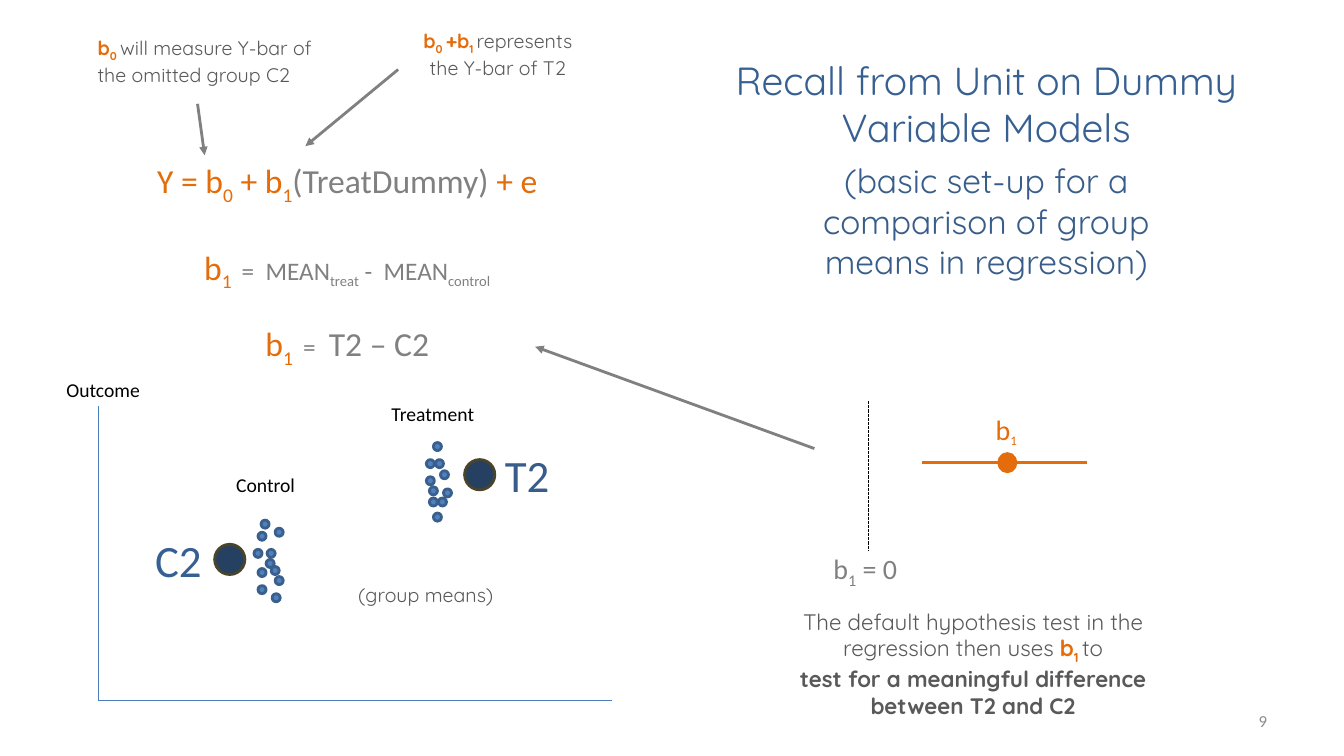
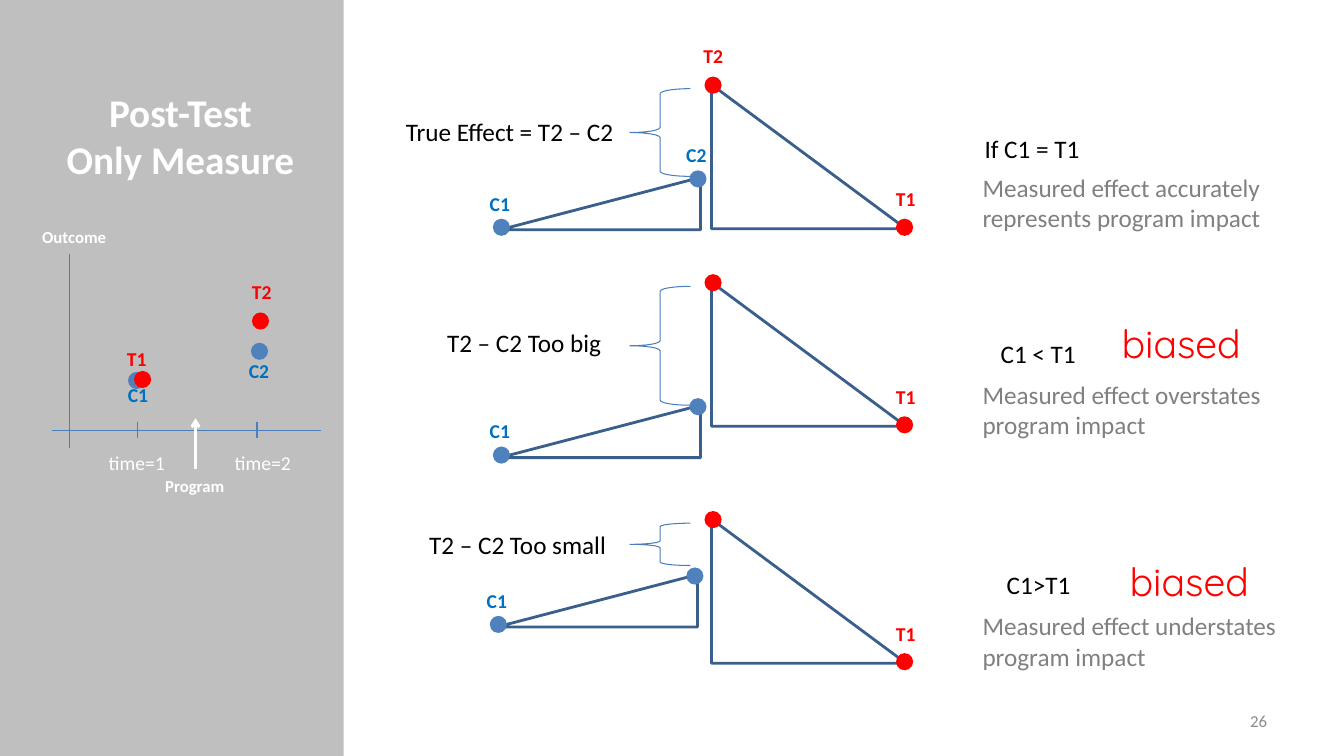
from dataclasses import dataclass
from typing import NamedTuple

from lxml.etree import SubElement
from pptx import Presentation
from pptx.dml.color import RGBColor
from pptx.enum.dml import MSO_LINE
from pptx.enum.shapes import MSO_CONNECTOR, MSO_SHAPE as Preset
from pptx.enum.text import MSO_ANCHOR as Anchor, MSO_AUTO_SIZE as AutoSize, PP_ALIGN as Align
from pptx.oxml.ns import qn
from pptx.util import Cm, Pt

COLORS = {
    "white": "FFFFFF", "black": "000000", "panel": "BFBFBF", "number": "8C8C8C",
    "gray": "808080", "text": "595959", "orange": "E46C0A", "red": "FF0000",
    "title": "376092", "group": "385D8A", "label": "0070C0", "dot": "4F81BD",
    "outline": "3A5F8C", "axis": "4B7EBC", "mean": "254061", "mean edge": "4A452A",
}
BODY, DISPLAY = "Calibri", "Quicksand"
TITLE_ONLY = 5


class Span(NamedTuple):
    text: str
    color: str | None = None
    size: float | None = None
    bold: bool | None = None
    subscript: bool = False


@dataclass
class Label:
    """A text whose paragraphs are lists of spans; a plain string is one paragraph."""
    content: str | list[list[Span]]
    left: float
    top: float
    width: float
    size: float = 14
    color: str = "black"
    font: str = BODY
    bold: bool = False
    align: Align = Align.LEFT
    wrap: bool = False
    lines: int = 1
    gaps: tuple[float, ...] = ()


@dataclass
class Scenario:
    treatment_top: float
    control_left: float
    control_top: float
    brace_height: float
    effect: Label
    condition: Label
    comment: str
    comment_top: float
    biased_at: tuple[float, float] | None = None


def inch(value: float) -> Cm:
    return Cm(value * 2.54)


def rgb(name: str) -> RGBColor:
    return RGBColor.from_string(COLORS[name])


def write(frame, label: Label) -> None:
    frame.word_wrap = label.wrap
    content = [[Span(label.content)]] if isinstance(label.content, str) else label.content
    for index, spans in enumerate(content):
        paragraph = frame.paragraphs[0] if index == 0 else frame.add_paragraph()
        paragraph.alignment = label.align
        if index and label.gaps:
            paragraph.space_before = Pt(label.gaps[index - 1])
        font = paragraph.font
        font.name, font.size, font.bold = label.font, Pt(label.size), label.bold
        font.color.rgb = rgb(label.color)
        for span in spans:
            for number, line in enumerate(span.text.split("\n")):
                if number:
                    paragraph.add_line_break()
                if line:
                    add_run(paragraph, line, span)


def add_run(paragraph, text: str, span: Span) -> None:
    run = paragraph.add_run()
    run.text = text
    if span.color:
        run.font.color.rgb = rgb(span.color)
    if span.size:
        run.font.size = Pt(span.size)
    if span.bold is not None:
        run.font.bold = span.bold
    if span.subscript:
        run._r.get_or_add_rPr().set("baseline", "-25000")


def add_label(slide, label: Label):
    height = 0.1 + label.lines * label.size / 60
    box = slide.shapes.add_textbox(
        inch(label.left), inch(label.top), inch(label.width), inch(height))
    write(box.text_frame, label)
    box.text_frame.auto_size = AutoSize.SHAPE_TO_FIT_TEXT
    return box


def set_title(slide, label: Label) -> None:
    title = slide.shapes.title
    title.left, title.top = inch(label.left), inch(label.top)
    title.width, title.height = inch(label.width), inch(1.04)
    title.text_frame.auto_size = AutoSize.NONE
    title.text_frame.vertical_anchor = Anchor.TOP
    write(title.text_frame, label)


def add_number(slide, number: str) -> None:
    box = add_label(slide, Label(number, 9.56, 7, 3.11, 12, "number", align=Align.RIGHT, wrap=True))
    box.text_frame.vertical_anchor = Anchor.MIDDLE


def add_preset(slide, preset: Preset, left: float, top: float, width: float, height: float,
               fill: str | None = None, line: str | None = None, weight: float = 2,
               mirrored: bool = False):
    shape = slide.shapes.add_shape(preset, inch(left), inch(top), inch(width), inch(height))
    shape.shadow.inherit = False
    if fill:
        shape.fill.solid()
        shape.fill.fore_color.rgb = rgb(fill)
    else:
        shape.fill.background()
    if line:
        shape.line.color.rgb = rgb(line)
        shape.line.width = Pt(weight)
    else:
        shape.line.fill.background()
    if mirrored:
        shape._element.spPr.xfrm.set("flipH", "1")
    return shape


def add_line(slide, start: tuple[float, float], end: tuple[float, float], color: str = "axis",
             weight: float = 0.75, head: str | None = None, dashed: bool = False) -> None:
    connector = slide.shapes.add_connector(
        MSO_CONNECTOR.STRAIGHT, *(inch(value) for value in (*start, *end)))
    connector.line.color.rgb = rgb(color)
    connector.line.width = Pt(weight)
    if dashed:
        connector.line.dash_style = MSO_LINE.SQUARE_DOT
    if head:
        SubElement(connector.line._get_or_add_ln(), qn("a:tailEnd"), type=head)
    SubElement(connector._element.spPr, qn("a:effectLst"))


def add_point(slide, left: float, top: float, color: str) -> None:
    add_preset(slide, Preset.OVAL, left, top, 0.17, 0.17, color)


def add_point_label(slide, text: str, left: float, top: float) -> None:
    color = "red" if text.startswith("T") else "label"
    add_label(slide, Label(text, left, top, 0.41, color=color, bold=True))


def coefficient(index: str, size: float | None = None, bold: bool | None = None,
                sign: str = "") -> list[Span]:
    return [Span(f"{sign}b", "orange", size, bold), Span(index, "orange", size, bold, True)]


def build_dummy_slide(slide) -> None:
    set_title(slide, Label("Recall from Unit on Dummy Variable Models", 7.19, 0.51, 5.19, 28,
                           "title", DISPLAY, align=Align.CENTER, wrap=True))
    add_number(slide, "9")

    add_line(slide, (0.98, 6.95), (6.07, 6.95))
    add_line(slide, (0.98, 6.95), (0.98, 4.03))
    control = [(2.52, 5.45), (2.65, 5.45), (2.64, 5.55), (2.56, 5.64), (2.73, 5.72), (2.56, 5.81),
               (2.7, 5.89), (2.73, 5.24), (2.59, 5.16), (2.56, 5.28), (2.69, 5.62)]
    treatment = [(4.23, 4.73), (4.23, 4.56), (4.37, 4.67), (4.4, 4.85), (4.26, 4.94), (4.35, 4.94),
                 (4.3, 5.09), (4.3, 4.39), (4.32, 4.56), (4.26, 4.83)]
    for left, top in control + treatment:
        add_preset(slide, Preset.OVAL, left, top, 0.08, 0.08, "dot", "outline")
    for left, top in [(2.13, 5.4), (4.61, 4.56)]:
        add_preset(slide, Preset.OVAL, left, top, 0.3, 0.3, "mean", "mean edge")

    add_line(slide, (8.62, 3.98), (8.62, 5.47), "black", dashed=True)
    add_line(slide, (9.15, 4.59), (10.78, 4.59), "orange", 2)
    add_preset(slide, Preset.OVAL, 9.91, 4.5, 0.17, 0.18, "orange", "orange")

    formulas = [
        [Span("Y = b"), Span("0", subscript=True), Span(" + b"), Span("1", subscript=True),
         Span("(TreatDummy) ", "gray"), Span("+ e")],
        [*coefficient("1 "), Span(" = ", "gray", 18), Span(" MEAN", "gray", 18),
         Span("treat", "gray", 18, subscript=True), Span(" - ", "gray", 18),
         Span(" MEAN", "gray", 18), Span("control", "gray", 18, subscript=True)],
        [*coefficient("1 "), Span(" = ", "gray", 18), Span(" T2 – C2", "gray")],
    ]
    intercept = [*coefficient("0 ", bold=True),
                 Span("will measure Y-bar of the omitted group C2")]
    treated_mean = [*coefficient("0 ", bold=True), *coefficient("1 ", bold=True, sign="+"),
                    Span("represents\nthe Y-bar of T2")]
    test = [Span("The default hypothesis test in the regression then uses "),
            *coefficient("1 ", bold=True), Span("to\n"),
            Span("test for a meaningful difference between T2 and C2", bold=True)]
    null_value = [Span("b"), Span("1", subscript=True), Span(" = 0")]
    estimate = [Span("b"), Span("1", size=16, subscript=True)]
    center = Align.CENTER
    for label in [
        Label("Outcome", 0.56, 3.7, 0.94),
        Label("Treatment", 3.78, 3.94, 1.03, align=center),
        Label("Control", 2.24, 4.64, 0.79, align=center),
        Label([null_value], 8.17, 5.42, 0.85, 20, "gray"),
        Label([estimate], 9.78, 4.04, 0.42, 20, "orange"),
        Label("T2", 4.91, 4.39, 0.65, 32, "group"),
        Label("C2", 1.44, 5.24, 0.67, 32, "title"),
        Label(formulas, 1.37, 1.54, 4.15, 24, "orange", align=center, lines=5, gaps=(29, 22)),
        Label([intercept], 0.87, 0.31, 2.49, 14, "text", DISPLAY, wrap=True, lines=2),
        Label([treated_mean], 3.22, 0.24, 3.44, 14, "text", DISPLAY, align=center, wrap=True,
              lines=2),
        Label([test], 7.79, 5.98, 3.73, 16, "text", DISPLAY, align=center, wrap=True, lines=4),
        Label("(group means)", 2.64, 5.73, 3.17, 14, "text", DISPLAY, align=center, wrap=True),
        Label("(basic set-up for a comparison of group means in regression)", 7.92, 1.54, 3.73, 24,
              "group", DISPLAY, align=center, wrap=True, lines=3),
    ]:
        add_label(slide, label)
    for start, end in [((1.96, 1.03), (2.03, 1.54)), ((3.95, 0.69), (3.03, 1.45)),
                       ((8.08, 4.45), (5.31, 3.44))]:
        add_line(slide, start, end, "gray", 2, "triangle")


def add_scenario(slide, scenario: Scenario) -> None:
    top, left, base = scenario.treatment_top, scenario.control_left, scenario.control_top
    add_preset(slide, Preset.RIGHT_TRIANGLE, 7.06, top, 1.93, 1.43, line="outline")
    add_preset(slide, Preset.RIGHT_TRIANGLE, left, base, 1.99, 0.52, line="outline", mirrored=True)
    add_preset(slide, Preset.RIGHT_BRACE, 6.25, top + 0.04, 0.6, scenario.brace_height,
               line="axis", weight=0.75, mirrored=True)
    add_point(slide, 6.99, top - 0.08, "red")
    add_point(slide, 8.89, top + 1.33, "red")
    add_point(slide, left + 1.88, base - 0.07, "dot")
    add_point(slide, left - 0.07, base + 0.41, "dot")
    add_point_label(slide, "T1", 8.79, top + 0.97)
    add_point_label(slide, "C1", left - 0.2, base + 0.09)
    add_label(slide, scenario.effect)
    add_label(slide, scenario.condition)
    add_label(slide, Label(scenario.comment, 9.65, scenario.comment_top, 3.11, 18, "gray",
                           wrap=True, lines=2))
    if scenario.biased_at:
        add_label(slide, Label("biased", *scenario.biased_at, 1.49, 28, "red", DISPLAY))


def add_timeline(slide) -> None:
    add_line(slide, (0.69, 2.52), (0.69, 4.44))
    add_line(slide, (0.52, 4.27), (3.19, 4.27))
    for tick, label_left, text in [(1.36, 0.98, "time=1"), (2.55, 2.23, "time=2")]:
        add_line(slide, (tick, 4.19), (tick, 4.35))
        add_label(slide, Label(text, label_left, 4.42, 0.79, color="white"))
    add_line(slide, (1.94, 4.65), (1.94, 4.15), "white", 2, "arrow")
    add_label(slide, Label("Program", 1.54, 4.67, 0.8, 12, "white", bold=True))
    add_label(slide, Label("Outcome", 0.32, 2.2, 0.84, 12, "white", bold=True))
    for left, top, color in [(1.27, 3.69, "dot"), (2.49, 3.4, "dot"),
                             (1.33, 3.68, "red"), (2.5, 3.1, "red")]:
        add_point(slide, left, top, color)
    for text, left, top in [("T2", 2.4, 2.73), ("T1", 1.16, 3.39),
                            ("C1", 1.17, 3.75), ("C2", 2.37, 3.51)]:
        add_point_label(slide, text, left, top)


def build_post_test_slide(slide) -> None:
    panel = add_preset(slide, Preset.RECTANGLE, 0, 0, 3.41, 7.5, "panel")
    slide.shapes._spTree.insert(2, panel._element)
    set_title(slide, Label("Post-Test\nOnly Measure", 0, 0.83, 3.58, 28, "white", bold=True,
                           align=Align.CENTER, wrap=True))
    add_number(slide, "26")
    add_timeline(slide)
    for scenario in [
        Scenario(0.84, 4.96, 1.76, 0.87,
                 Label("True Effect = T2 – C2", 3.93, 1.11, 2.3, 18),
                 Label("If C1 = T1", 9.67, 1.27, 1.16, 18),
                 "Measured effect accurately represents program impact", 1.66),
        Scenario(2.8, 4.96, 4.02, 1.18,
                 Label("T2 – C2 Too big", 4.23, 3.2, 1.94, 18, align=Align.CENTER),
                 Label("C1 < T1", 9.83, 3.31, 0.96, 18),
                 "Measured effect overstates program impact", 3.71, (11.03, 3.12)),
        Scenario(5.15, 4.93, 5.7, 0.42,
                 Label("T2 – C2 Too small", 4.09, 5.2, 2.09, 18, align=Align.CENTER),
                 Label("C1>T1", 9.89, 5.6, 0.84, 18),
                 "Measured effect understates program impact", 6.01, (11.11, 5.48)),
    ]:
        add_scenario(slide, scenario)
    add_point_label(slide, "T2", 6.88, 0.39)
    add_point_label(slide, "C2", 6.71, 1.37)


def main() -> None:
    presentation = Presentation()
    presentation.slide_width, presentation.slide_height = Cm(33.87), Cm(19.05)
    for build in (build_dummy_slide, build_post_test_slide):
        build(presentation.slides.add_slide(presentation.slide_layouts[TITLE_ONLY]))
    presentation.save("out.pptx")


if __name__ == "__main__":
    main()
